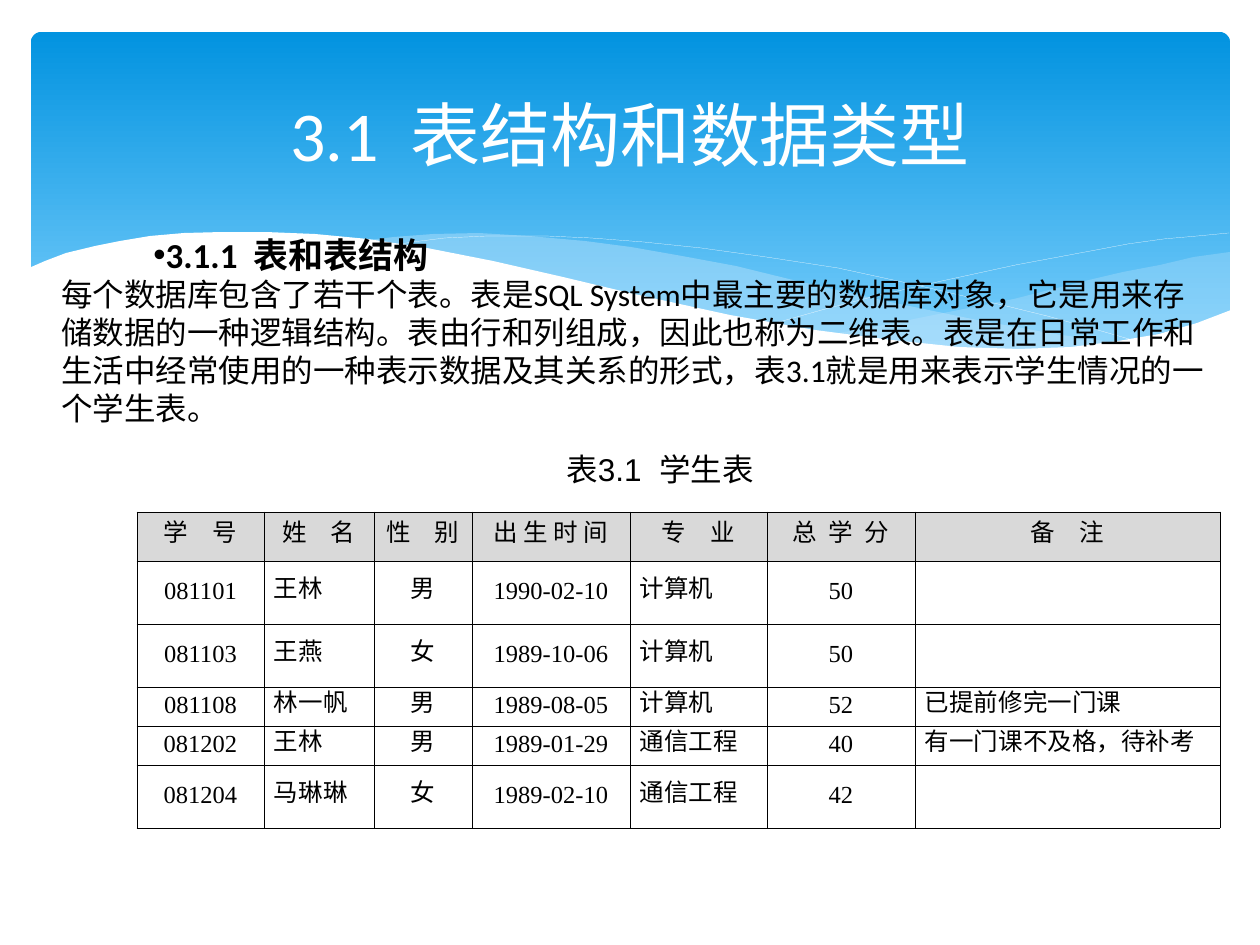
from dataclasses import dataclass

from lxml import etree
from pptx import Presentation
from pptx import util as u
from pptx.dml.color import RGBColor
from pptx.enum import shapes, text
from pptx.oxml.ns import qn


@dataclass(frozen=True)
class Theme:
    sky_top: str = "0293E0"
    sky_bottom: str = "83D3FE"
    mist: str = "C6E7FC"
    white: str = "FFFFFF"
    ink: str = "000000"
    header: str = "D9D9D9"
    latin: str = "Calibri"
    caption: str = "Arial"
    table: str = "Times New Roman"
    title_size: int = 40
    heading_size: int = 20
    body_size: int = 18
    cell_size: int = 14


theme = Theme()
PX = 914400 / 126
LEFT, CENTER, JUSTIFY = text.PP_ALIGN.LEFT, text.PP_ALIGN.CENTER, text.PP_ALIGN.JUSTIFY


def px(*lengths):
    return [u.Emu(round(length * PX)) for length in lengths]


def write(paragraph, words, size, font=theme.latin, color=theme.ink, bold=False,
          align=LEFT, line=None, tracking=0, bullet=None, indent=0):
    properties = paragraph._p.get_or_add_pPr()
    if bullet:
        properties.set("marL", "0")
        properties.set("indent", str(px(indent)[0]))
        etree.SubElement(properties, qn("a:buFont")).set("typeface", theme.caption)
        etree.SubElement(properties, qn("a:buChar")).set("char", bullet)
    paragraph.alignment = align
    if line:
        paragraph.line_spacing = u.Pt(line)
    run = paragraph.add_run()
    run.text = words
    run.font.size, run.font.name, run.font.bold = u.Pt(size), font, bold
    run.font.color.rgb = RGBColor.from_string(color)
    if tracking:
        run._r.get_or_add_rPr().set("spc", str(tracking))


deck = Presentation()
deck.slide_width, deck.slide_height = px(1260, 945)
slide = deck.slides.add_slide(deck.slide_layouts[5])

sky = slide.shapes.add_shape(shapes.MSO_SHAPE.ROUNDED_RECTANGLE, *px(31, 32, 1199, 340))
sky.adjustments[0] = 0.03
sky.shadow.inherit = False
sky.line.fill.background()
sky.fill.gradient()
sky.fill.gradient_angle = 270
for stop, color in zip(sky.fill.gradient_stops, (theme.sky_top, theme.sky_bottom)):
    stop.color.rgb = RGBColor.from_string(color)

right_swell = [
    (1230, 252), (1194, 257), (1160, 265), (1123, 272), (1085, 281), (1014, 299),
    (949, 312), (890, 324), (833, 334), (871, 339), (905, 344), (954, 348),
    (1012, 350), (1063, 349), (1110, 344), (1150, 336), (1187, 326), (1213, 318),
    (1230, 311)]
middle_swell = [
    (1125, 344), (1055, 334), (977, 320), (890, 302), (793, 280), (736, 266),
    (682, 256), (631, 247), (585, 241), (529, 236), (479, 233), (433, 234),
    (394, 237), (360, 241), (407, 247), (456, 256), (509, 266), (566, 280),
    (619, 292), (668, 302), (736, 318), (799, 329), (857, 338), (910, 345),
    (959, 349), (1003, 352), (1043, 350), (1080, 349)]
falling_crest = [
    (389, 246), (413, 242), (445, 238), (488, 236), (546, 236), (591, 238),
    (643, 242), (701, 248), (766, 257), (838, 268), (916, 285), (1002, 305),
    (1047, 316), (1094, 329), (1143, 343)]
rising_crest = [
    (772, 324), (822, 310), (876, 296), (942, 281), (1016, 265), (1091, 251),
    (1128, 244), (1164, 239), (1198, 236), (1229, 233)]
foreground = [
    (1231, 310), (1197, 323), (1159, 334), (1118, 341), (1071, 347), (1019, 349),
    (959, 347), (892, 340), (815, 330), (730, 315), (634, 294), (563, 277),
    (493, 261), (427, 248), (368, 239), (315, 234), (266, 232), (222, 232),
    (184, 233), (150, 236), (120, 241), (95, 246), (66, 253), (45, 261),
    (29, 268), (29, 415), (1231, 415)]

for points, color, opacity in [
        (right_swell, theme.mist, 29), (middle_swell, theme.mist, 40),
        (falling_crest, None, 100), (rising_crest, None, 100),
        (foreground, theme.white, 100)]:
    builder = slide.shapes.build_freeform(*points[0], scale=PX)
    builder.add_line_segments(points[1:], close=color is not None)
    wave = builder.convert_to_shape()
    wave.shadow.inherit = False
    if color is None:
        wave.fill.background()
        wave.line.color.rgb = RGBColor.from_string(theme.white)
        wave.line.width = u.Pt(0.1)
        continue
    wave.line.fill.background()
    wave.fill.solid()
    wave.fill.fore_color.rgb = RGBColor.from_string(color)
    if opacity < 100:
        tint = wave._element.spPr.find(qn("a:solidFill"))[0]
        etree.SubElement(tint, qn("a:alpha")).set("val", str(opacity * 1000))

title = slide.shapes.title
title.left, title.top, title.width, title.height = px(63, 47, 1134, 173)
title.text_frame.vertical_anchor = text.MSO_ANCHOR.MIDDLE
write(title.text_frame.paragraphs[0], "3.1  表结构和数据类型", theme.title_size,
      color=theme.white, align=CENTER)
title.element.getparent().append(title.element)

section = slide.shapes.add_textbox(*px(49, 227, 1172, 244)).text_frame
section.word_wrap = True
write(section.paragraphs[0], "3.1.1  表和表结构", theme.heading_size, bold=True,
      bullet="•", indent=92)
write(section.add_paragraph(),
      "每个数据库包含了若干个表。表是SQL System中最主要的数据库对象，它是用来存储数据的一种逻辑结构。"
      "表由行和列组成，因此也称为二维表。表是在日常工作和生活中经常使用的一种表示数据及其关系的形式，"
      "表3.1就是用来表示学生情况的一个学生表。", theme.body_size)

headers = [("学 号", 525), ("姓 名", 525), ("性 别", 525), ("出 生 时 间", 0),
           ("专 业", 525), ("总 学 分", 175), ("备 注", 525)]
students = [
    ("081101", "王林", "男", "1990-02-10", "计算机", "50", ""),
    ("081103", "王燕", "女", "1989-10-06", "计算机", "50", ""),
    ("081108", "林一帆", "男", "1989-08-05", "计算机", "52", "已提前修完一门课"),
    ("081202", "王林", "男", "1989-01-29", "通信工程", "40", "有一门课不及格，待补考"),
    ("081204", "马琳琳", "女", "1989-02-10", "通信工程", "42", "")]
column_widths = [127, 110, 98, 158, 137, 148, 305]
row_heights = [49] + [39 if student[-1] else 63 for student in students]
justified_columns = (1, 4, 6)

roster = slide.shapes.add_table(
    len(row_heights), len(column_widths),
    *px(137, 512, sum(column_widths), sum(row_heights))).table
roster.horz_banding = roster.first_row = False
for column, width in zip(roster.columns, column_widths):
    column.width = px(width)[0]
for row, height in zip(roster.rows, row_heights):
    row.height = px(height)[0]

records = [headers] + [[(value, 0) for value in student] for student in students]
for r, record in enumerate(records):
    for c, (value, tracking) in enumerate(record):
        cell = roster.cell(r, c)
        cell.vertical_anchor = text.MSO_ANCHOR.MIDDLE
        cell.margin_left, cell.margin_right = px(10, 10)
        cell.margin_top, cell.margin_bottom = px(6, 6)
        for side in ("lnL", "lnR", "lnT", "lnB"):
            border = etree.SubElement(cell._tc.get_or_add_tcPr(), qn(f"a:{side}"))
            border.set("w", str(u.Pt(0.45)))
            ink = etree.SubElement(border, qn("a:solidFill"))
            etree.SubElement(ink, qn("a:srgbClr")).set("val", theme.ink)
        if r == 0:
            cell.fill.solid()
            cell.fill.fore_color.rgb = RGBColor.from_string(theme.header)
        else:
            cell.fill.background()
        if value:
            write(cell.text_frame.paragraphs[0], value, theme.cell_size,
                  font=theme.table, line=14, tracking=tracking,
                  align=JUSTIFY if r and c in justified_columns else CENTER)

caption = slide.shapes.add_textbox(*px(554, 444, 250, 50)).text_frame
caption.word_wrap = True
caption.vertical_anchor = text.MSO_ANCHOR.MIDDLE
write(caption.paragraphs[0], "表3.1  学生表", theme.body_size, font=theme.caption)

deck.save("out.pptx")
